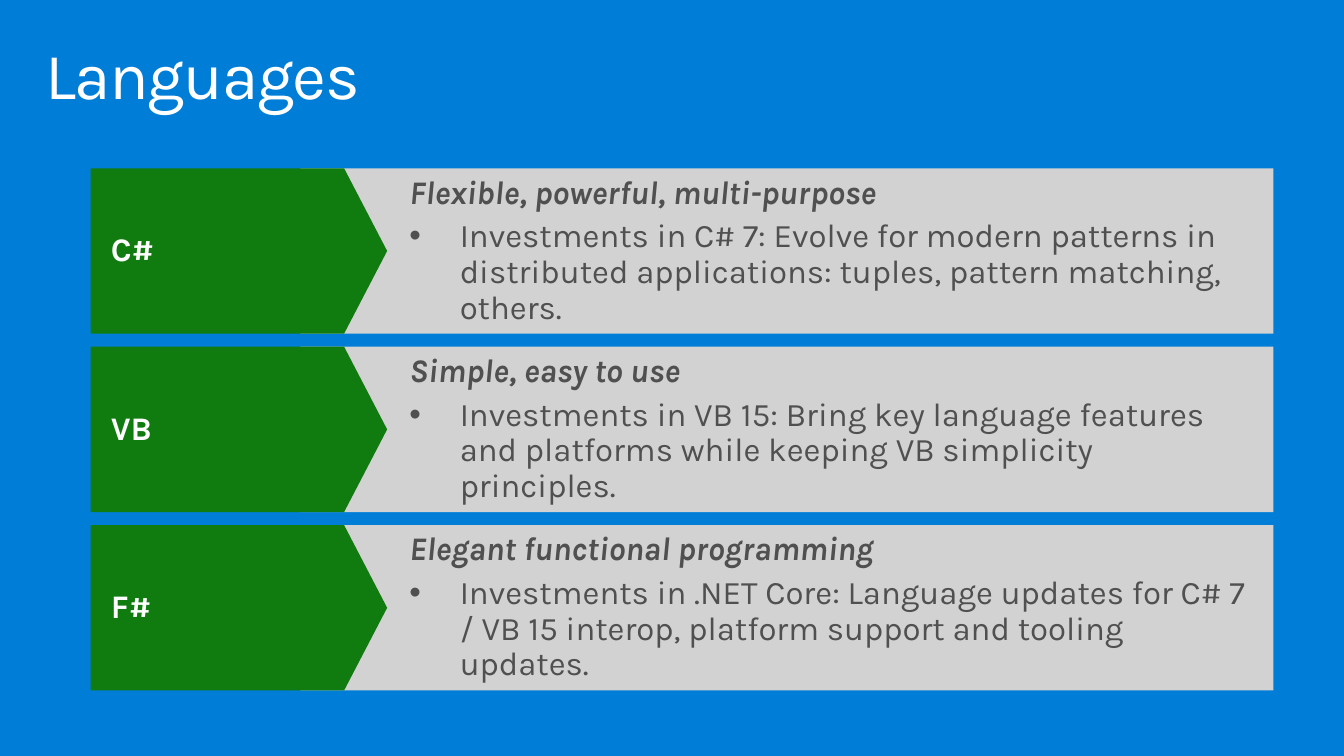
import pptx
import pptx.dml.color
import pptx.enum.shapes
import pptx.enum.text
import pptx.util
from pptx.oxml.xmlchemy import OxmlElement

RGBColor = pptx.dml.color.RGBColor
Anchor = pptx.enum.text.MSO_ANCHOR
ShapeKind = pptx.enum.shapes.MSO_SHAPE

BLUE = RGBColor(0x00, 0x7E, 0xD7)
GREEN = RGBColor(0x10, 0x7C, 0x10)
LIGHT_GRAY = RGBColor(0xD2, 0xD2, 0xD2)
DARK_GRAY = RGBColor(0x50, 0x50, 0x50)
WHITE = RGBColor(0xFF, 0xFF, 0xFF)

EMU_PER_PX = 9144  # 100 px to the inch

LANGUAGES = [
    ("C#", "Flexible, powerful, multi-purpose",
     "Investments in C# 7: Evolve for modern patterns in distributed "
     "applications: tuples, pattern matching, others."),
    ("VB", "Simple, easy to use",
     "Investments in VB 15: Bring key language features and platforms "
     "while keeping VB simplicity principles."),
    ("F#", "Elegant functional programming",
     "Investments in .NET Core: Language updates for C# 7 / VB 15 interop, "
     "platform support and tooling updates."),
]
ROW_TOP, ROW_HEIGHT, ROW_STEP = 167, 164, 177


def px(length):
    return pptx.util.Emu(length * EMU_PER_PX)


class SlideBuilder:
    font_name = "Karla"
    title_size = 47
    body_size = 23.5

    def __init__(self, presentation):
        self.slide = presentation.slides.add_slide(presentation.slide_layouts[6])

    def background(self, color):
        fill = self.slide.background.fill
        fill.solid()
        fill.fore_color.rgb = color

    def frame(self, shape, insets, anchor):
        frame = shape.text_frame
        frame.word_wrap = True
        frame.vertical_anchor = anchor
        (frame.margin_left, frame.margin_top,
         frame.margin_right, frame.margin_bottom) = map(px, insets)
        return frame

    def add_text(self, paragraph, text, size, color, bold=False, italic=False):
        paragraph.alignment = pptx.enum.text.PP_ALIGN.LEFT
        paragraph.line_spacing = 0.9
        run = paragraph.add_run()
        run.text = text
        font = run.font
        font.name = self.font_name
        font.size = pptx.util.Pt(size)
        font.color.rgb = color
        font.bold = bold
        font.italic = italic
        return run

    def indent(self, paragraph, left, first=0, bullet=None):
        properties = paragraph._p.get_or_add_pPr()
        properties.set("marL", str(px(left)))
        properties.set("indent", str(px(first)))
        if bullet:
            bullet_font = OxmlElement("a:buFont")
            bullet_font.set("typeface", "Arial")
            properties.append(bullet_font)
            bullet_character = OxmlElement("a:buChar")
            bullet_character.set("char", bullet)
            properties.append(bullet_character)

    def title(self, text, left, top, width, height):
        box = self.slide.shapes.add_textbox(*map(px, (left, top, width, height)))
        frame = self.frame(box, (16, 10, 16, 10), Anchor.TOP)
        run = self.add_text(frame.paragraphs[0], text, self.title_size, WHITE)
        run._r.get_or_add_rPr().set("spc", "-100")

    def block(self, kind, color, left, top, width, height):
        shape = self.slide.shapes.add_shape(kind, *map(px, (left, top, width, height)))
        shape.shadow.inherit = False
        shape.fill.solid()
        shape.fill.fore_color.rgb = color
        shape.line.fill.background()
        return shape

    def panel(self, heading, detail, *place):
        shape = self.block(ShapeKind.RECTANGLE, LIGHT_GRAY, *place)
        frame = self.frame(shape, (98, 16, 20, 16), Anchor.MIDDLE)
        paragraph = frame.paragraphs[0]
        self.indent(paragraph, 10)
        self.add_text(paragraph, heading, self.body_size, DARK_GRAY, bold=True, italic=True)
        paragraph = frame.add_paragraph()
        self.indent(paragraph, 60, -50, "•")
        paragraph.space_before = pptx.util.Pt(5.9)
        self.add_text(paragraph, detail, self.body_size, DARK_GRAY)

    def arrow_label(self, text, *place):
        shape = self.block(ShapeKind.PENTAGON, GREEN, *place)
        shape.adjustments[0] = 0.26
        frame = self.frame(shape, (20, 16, 20, 16), Anchor.MIDDLE)
        self.add_text(frame.paragraphs[0], text, self.body_size, WHITE, bold=True)


def main():
    presentation = pptx.Presentation()
    presentation.slide_width = px(1333)
    presentation.slide_height = px(750)
    builder = SlideBuilder(presentation)

    # Background and title
    builder.background(BLUE)
    builder.title("Languages", 29, 32, 1274, 98)

    # One row per language: gray panel with a green arrow over its left end
    for row, (name, heading, detail) in enumerate(LANGUAGES):
        top = ROW_TOP + row * ROW_STEP
        builder.panel(heading, detail, 298, top, 965, ROW_HEIGHT)
        builder.arrow_label(name, 90, top, 294, ROW_HEIGHT)

    presentation.save("out.pptx")


if __name__ == "__main__":
    main()
